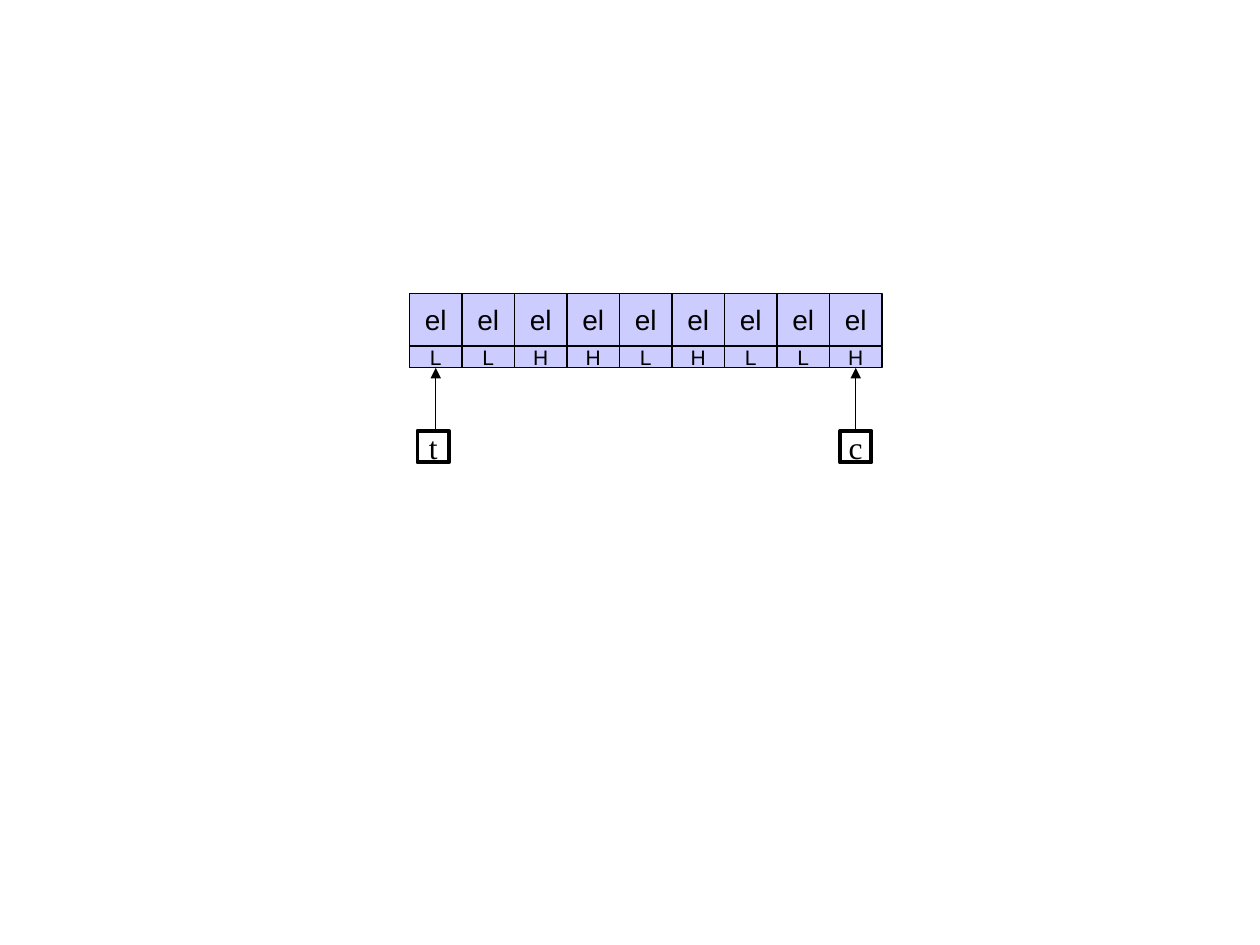
from dataclasses import dataclass

import pptx
import pptx.dml.color
import pptx.enum.shapes
import pptx.enum.text
import pptx.oxml
import pptx.oxml.ns
import pptx.util
from pptx.util import Inches

COLORS = {"cell": "CCCCFF", "ink": "000000"}
LABELS = "LLHHLHLLH"
ROW_LEFT = 3.25
CELL_SIZE = 5 / 12
ELEMENT_TOP = 2.33
LABEL_TOP = 2.75
LABEL_HEIGHT = 0.17
POINTER_TOP = 3.42
POINTER_SIZE = 0.25


@dataclass
class Box:
    text: str
    left: float
    top: float
    width: float
    height: float
    size: int
    font: str = "Arial"
    fill: str | None = None
    line_width: float = 0.75


@dataclass
class Pointer:
    name: str
    index: int
    offset: float = 0  # shift of the box from the centre of its cell


POINTERS = [Pointer("c", 8), Pointer("t", 0, offset=-0.02)]


def color(name: str) -> pptx.dml.color.RGBColor:
    return pptx.dml.color.RGBColor.from_string(COLORS[name])


def write_text(shape, text: str, *, size: int, font: str) -> None:
    frame = shape.text_frame
    frame.word_wrap = False
    frame.vertical_anchor = pptx.enum.text.MSO_ANCHOR.MIDDLE
    paragraph = frame.paragraphs[0]
    paragraph.alignment = pptx.enum.text.PP_ALIGN.CENTER
    run = paragraph.add_run()
    run.text = text
    run.font.size = pptx.util.Pt(size)
    run.font.name = font
    run.font.color.rgb = color("ink")


def draw_box(slide, box: Box):
    shape = slide.shapes.add_shape(
        pptx.enum.shapes.MSO_SHAPE.RECTANGLE,
        Inches(box.left), Inches(box.top), Inches(box.width), Inches(box.height),
    )
    shape.shadow.inherit = False
    if box.fill:
        shape.fill.solid()
        shape.fill.fore_color.rgb = color(box.fill)
    else:
        shape.fill.background()
    shape.line.color.rgb = color("ink")
    shape.line.width = pptx.util.Pt(box.line_width)
    write_text(shape, box.text, size=box.size, font=box.font)
    return shape


def draw_cells(slide, texts: list[str], top: float, height: float, size: int) -> list:
    return [
        draw_box(slide, Box(text, ROW_LEFT + index * CELL_SIZE, top,
                            CELL_SIZE, height, size, fill="cell"))
        for index, text in enumerate(texts)
    ]


def draw_pointer(slide, pointer: Pointer, cell) -> None:
    """Draw a named box below the cell and an arrow from it up to the cell."""
    center = ROW_LEFT + (pointer.index + 0.5) * CELL_SIZE
    box = draw_box(slide, Box(
        pointer.name, center - POINTER_SIZE / 2 + pointer.offset, POINTER_TOP,
        POINTER_SIZE, POINTER_SIZE, 18, font="Times New Roman", line_width=2.25,
    ))
    arrow = slide.shapes.add_connector(
        pptx.enum.shapes.MSO_CONNECTOR.STRAIGHT,
        Inches(center), Inches(POINTER_TOP),
        Inches(center), Inches(LABEL_TOP + LABEL_HEIGHT),
    )
    if not pointer.offset:
        arrow.begin_connect(box, 0)
    arrow.end_connect(cell, 2)
    arrow.line.color.rgb = color("ink")
    arrow.line.width = pptx.util.Pt(0.75)
    namespace = pptx.oxml.ns.nsdecls("a")
    arrow.line._get_or_add_ln().append(
        pptx.oxml.parse_xml(f'<a:tailEnd {namespace} type="triangle"/>'))
    arrow._element.spPr.append(pptx.oxml.parse_xml(f"<a:effectLst {namespace}/>"))


def main() -> None:
    presentation = pptx.Presentation()
    presentation.slide_width = Inches(10)
    presentation.slide_height = Inches(7.5)
    slide = presentation.slides.add_slide(presentation.slide_layouts[6])

    label_cells = draw_cells(slide, list(LABELS), LABEL_TOP, LABEL_HEIGHT, 12)
    for pointer in POINTERS:
        draw_pointer(slide, pointer, label_cells[pointer.index])
    draw_cells(slide, ["el"] * len(LABELS), ELEMENT_TOP, CELL_SIZE, 16)

    presentation.save("out.pptx")


if __name__ == "__main__":
    main()
